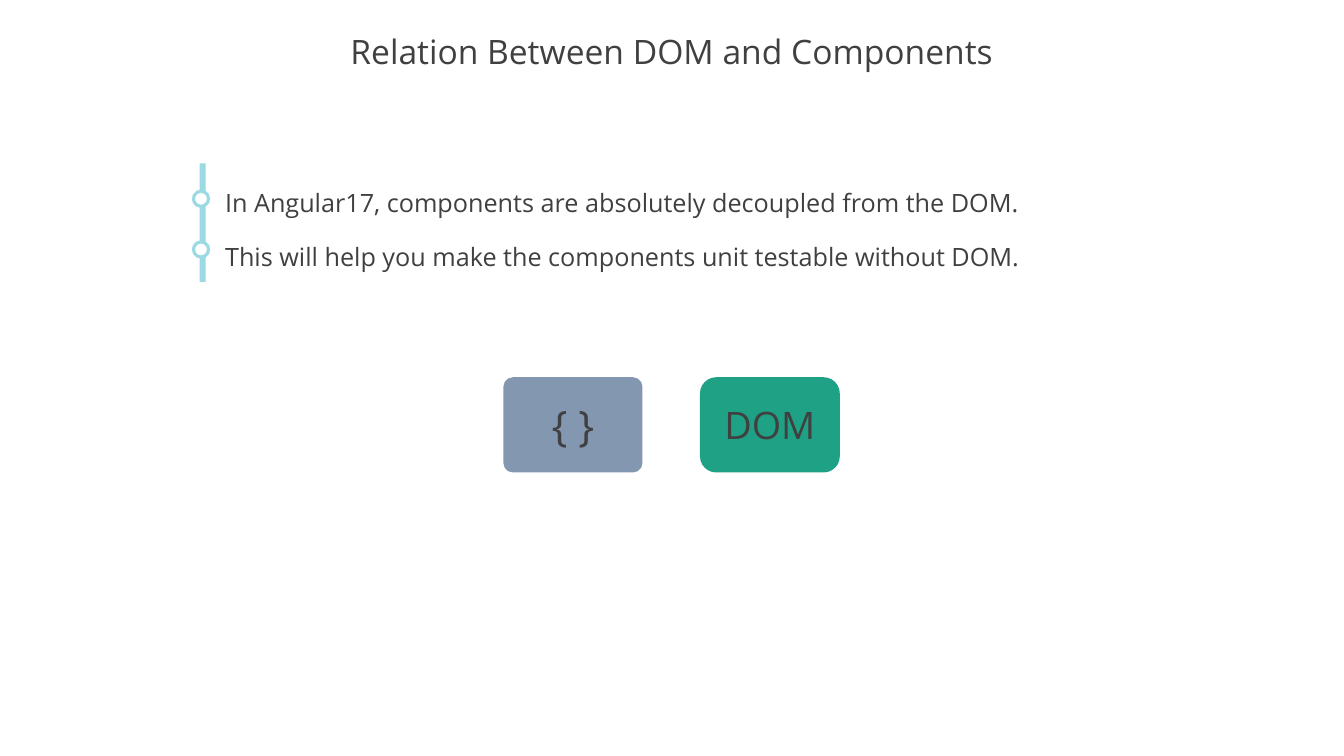
"""Build a slide on the relation between the DOM and components."""
from dataclasses import dataclass

from pptx import Presentation
from pptx import util as u
from pptx.dml import color
from pptx.enum import shapes, text


@dataclass(frozen=True)
class Theme:
    font: str = "Open Sans"
    ink: str = "404040"
    white: str = "FFFFFF"
    timeline: str = "9BDAE3"
    component: str = "8497B0"
    dom: str = "1EA185"
    title_size: int = 32
    body_size: int = 24
    braces_size: int = 40
    dom_size: int = 36


theme = Theme()


def write(shape, words, size, align, line_spacing=1.0):
    frame = shape.text_frame
    frame.text = words
    frame.word_wrap = True
    frame.vertical_anchor = text.MSO_ANCHOR.MIDDLE
    paragraph = frame.paragraphs[0]
    paragraph.alignment = align
    paragraph.line_spacing = line_spacing
    font = paragraph.runs[0].font
    font.name = theme.font
    font.size = u.Pt(size)
    font.color.rgb = color.RGBColor.from_string(theme.ink)


def add_filled(kind, box, fill, line=None):
    shape = slide.shapes.add_shape(kind, *map(u.Inches, box))
    shape.shadow.inherit = False
    shape.fill.solid()
    shape.fill.fore_color.rgb = color.RGBColor.from_string(fill)
    if line:
        shape.line.color.rgb = color.RGBColor.from_string(line)
        shape.line.width = u.Pt(3)
    else:
        shape.line.fill.background()
    return shape


presentation = Presentation()
presentation.slide_width = u.Inches(17.78)
presentation.slide_height = u.Inches(10)
slide = presentation.slides.add_slide(presentation.slide_layouts[6])

title = slide.shapes.add_textbox(0, u.Inches(0.35), presentation.slide_width, u.Inches(0.73))
write(title, "Relation Between DOM and Components", theme.title_size, text.PP_ALIGN.CENTER, 0.9)

add_filled(shapes.MSO_SHAPE.RECTANGLE, (2.64, 2.16, 0.08, 1.57), theme.timeline)

points = [
    ("In Angular17, components are absolutely decoupled from the DOM.", 2.53, 2.26, 11.17, 0.64),
    ("This will help you make the components unit testable without DOM.", 3.2, 2.94, 11.54, 0.71),
]
for words, marker_top, top, width, height in points:
    add_filled(shapes.MSO_SHAPE.OVAL, (2.56, marker_top, 0.2, 0.2), theme.white, theme.timeline)
    point = slide.shapes.add_textbox(*map(u.Inches, (2.88, top, width, height)))
    write(point, words, theme.body_size, text.PP_ALIGN.LEFT, 1.5)

cards = [
    ("{ }", 6.66, 1.84, 0.1, theme.component, theme.braces_size),
    ("DOM", 9.26, 1.85, 0.17, theme.dom, theme.dom_size),
]
for words, left, width, rounding, fill, size in cards:
    card = add_filled(shapes.MSO_SHAPE.ROUNDED_RECTANGLE, (left, 4.99, width, 1.26), fill)
    card.adjustments[0] = rounding
    write(card, words, size, text.PP_ALIGN.CENTER)

presentation.save("out.pptx")
